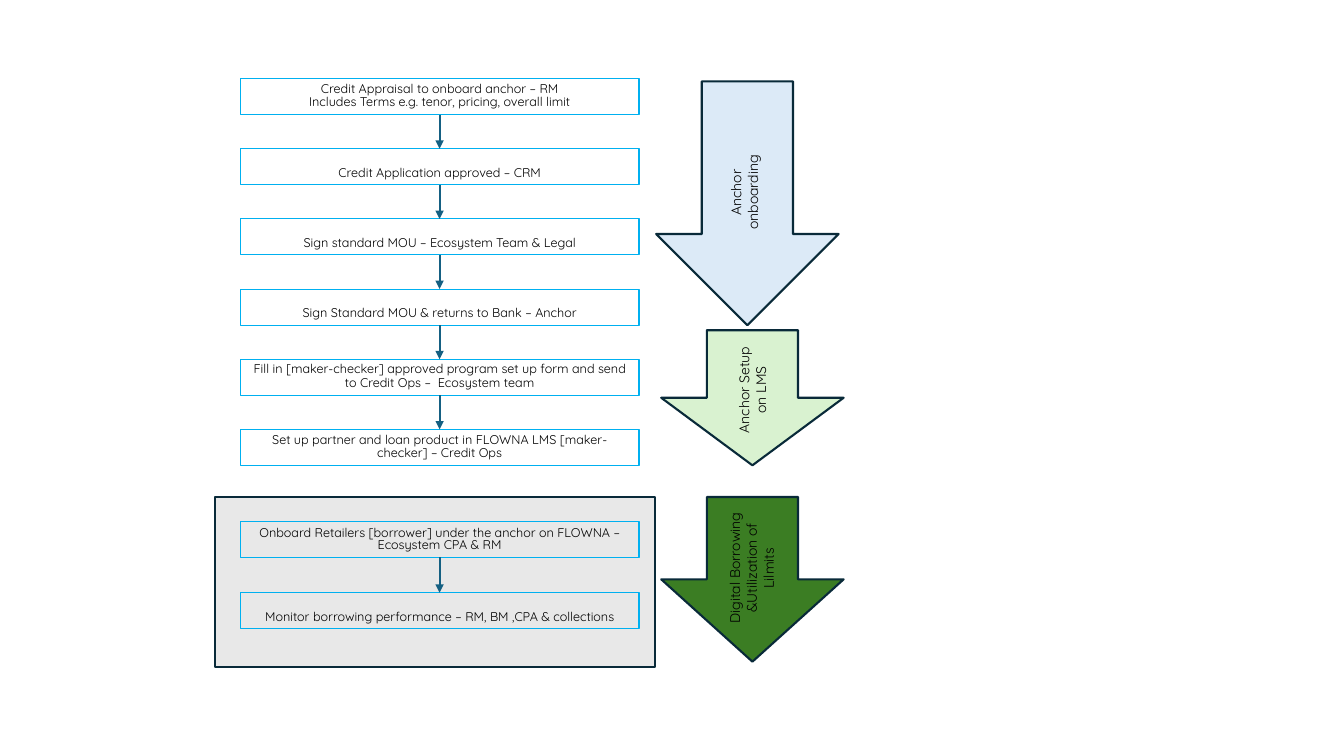
from lxml import etree
from pptx import Presentation
from pptx import util as u
from pptx.dml.color import RGBColor
from pptx.enum import shapes, text
from pptx.oxml import ns

COLOURS = {
    "box_line": "00B0F0",
    "outline": "092A39",
    "connector": "156082",
    "panel": "E8E8E8",
    "onboarding": "DCEAF7",
    "setup": "D9F2D0",
    "borrowing": "3B7D23",
    "text": "000000",
}
FONT = "Quicksand"

BOX_LEFT, BOX_WIDTH, BOX_HEIGHT = 171.5, 285, 25.7
FIRST_TOP, STEP_PITCH = 56.2, 50.1
ARROW_WIDTH = 130.3

ANCHOR_STEPS = [
    "Credit Appraisal to onboard anchor – RM\vIncludes Terms e.g. tenor, pricing, overall limit",
    "Credit Application approved – CRM",
    "Sign standard MOU – Ecosystem Team & Legal",
    "Sign Standard MOU & returns to Bank – Anchor",
    "Fill in [maker-checker] approved program set up form and send to Credit Ops –  Ecosystem team",
    "Set up partner and loan product in FLOWNA LMS [maker-checker] – Credit Ops",
]
# Text, top, line spacing
BORROWER_STEPS = [
    ("Onboard Retailers [borrower] under the anchor on FLOWNA –Ecosystem CPA & RM", 372.3, 0.8),
    ("Monitor borrowing performance – RM, BM ,CPA & collections", 423.4, 0.9),
]
# Colour, arrow (left, top, height), label, label (left, top, width, height)
PHASES = [
    ("onboarding", (468.7, 58.1, 174.2), "Anchor onboarding", (486.7, 121.7, 90, 31.5)),
    ("setup", (472.3, 235.9, 96.5), "Anchor Setup on LMS", (492.5, 262.8, 90, 31.5)),
    ("borrowing", (472.3, 355, 117.6), "Digital Borrowing &Utilization of Lilmits",
     (486.7, 383.8, 100.8, 43.9)),
]


def rgb(name):
    return RGBColor.from_string(COLOURS[name])


def write(shape, content, size=9, spacing=None, anchor=text.MSO_ANCHOR.TOP):
    frame = shape.text_frame
    frame.word_wrap = True
    frame.vertical_anchor = anchor
    paragraph = frame.paragraphs[0]
    paragraph.text = content
    paragraph.alignment = text.PP_ALIGN.CENTER
    paragraph.line_spacing = spacing
    paragraph.font.name = FONT
    paragraph.font.size = u.Pt(size)
    paragraph.font.color.rgb = rgb("text")


class FlowSlide:
    def __init__(self, presentation):
        self.slide = presentation.slides.add_slide(presentation.slide_layouts[6])

    def shape(self, kind, left, top, width, height, line, weight, fill=None):
        shape = self.slide.shapes.add_shape(
            kind, u.Pt(left), u.Pt(top), u.Pt(width), u.Pt(height))
        shape.shadow.inherit = False
        if fill:
            shape.fill.solid()
            shape.fill.fore_color.rgb = rgb(fill)
        else:
            shape.fill.background()
        shape.line.color.rgb = rgb(line)
        shape.line.width = u.Pt(weight)
        return shape

    def step(self, content, top, spacing=0.9):
        box = self.shape(shapes.MSO_SHAPE.RECTANGLE, BOX_LEFT, top,
                         BOX_WIDTH, BOX_HEIGHT, "box_line", 0.75)
        write(box, content, spacing=spacing, anchor=text.MSO_ANCHOR.BOTTOM)
        return box

    def panel(self, left, top, width, height):
        self.shape(shapes.MSO_SHAPE.RECTANGLE, left, top, width, height,
                   "outline", 1.5, "panel")

    def phase_arrow(self, fill, left, top, height):
        self.shape(shapes.MSO_SHAPE.DOWN_ARROW, left, top, ARROW_WIDTH, height,
                   "outline", 1.5, fill)

    def phase_label(self, content, left, top, width, height):
        label = self.slide.shapes.add_textbox(
            u.Pt(left), u.Pt(top), u.Pt(width), u.Pt(height))
        label.rotation = 270
        write(label, content, size=10)
        label.text_frame.auto_size = text.MSO_AUTO_SIZE.SHAPE_TO_FIT_TEXT

    def connect(self, upper, lower):
        connector = self.slide.shapes.add_connector(
            shapes.MSO_CONNECTOR.STRAIGHT, 0, 0, 0, 0)
        connector.begin_connect(upper, 2)
        connector.end_connect(lower, 0)
        connector.line.color.rgb = rgb("connector")
        connector.line.width = u.Pt(1.5)
        etree.SubElement(connector.line._get_or_add_ln(), ns.qn("a:tailEnd"), type="triangle")
        etree.SubElement(connector._element.spPr, ns.qn("a:effectLst"))

    def connect_all(self, boxes):
        for upper, lower in zip(boxes, boxes[1:]):
            self.connect(upper, lower)


def main():
    presentation = Presentation()
    presentation.slide_width = u.Pt(960)
    presentation.slide_height = u.Pt(540)
    flow = FlowSlide(presentation)

    # Anchor steps
    flow.connect_all([flow.step(content, FIRST_TOP + i * STEP_PITCH)
                      for i, content in enumerate(ANCHOR_STEPS)])

    # Borrower steps on their panel
    flow.panel(153.4, 355, 314.6, 121.7)
    flow.connect_all([flow.step(*step) for step in BORROWER_STEPS])

    # Phase arrows with turned labels
    for fill, arrow, label, label_area in PHASES:
        flow.phase_arrow(fill, *arrow)
        flow.phase_label(label, *label_area)

    presentation.save("out.pptx")


if __name__ == "__main__":
    main()
